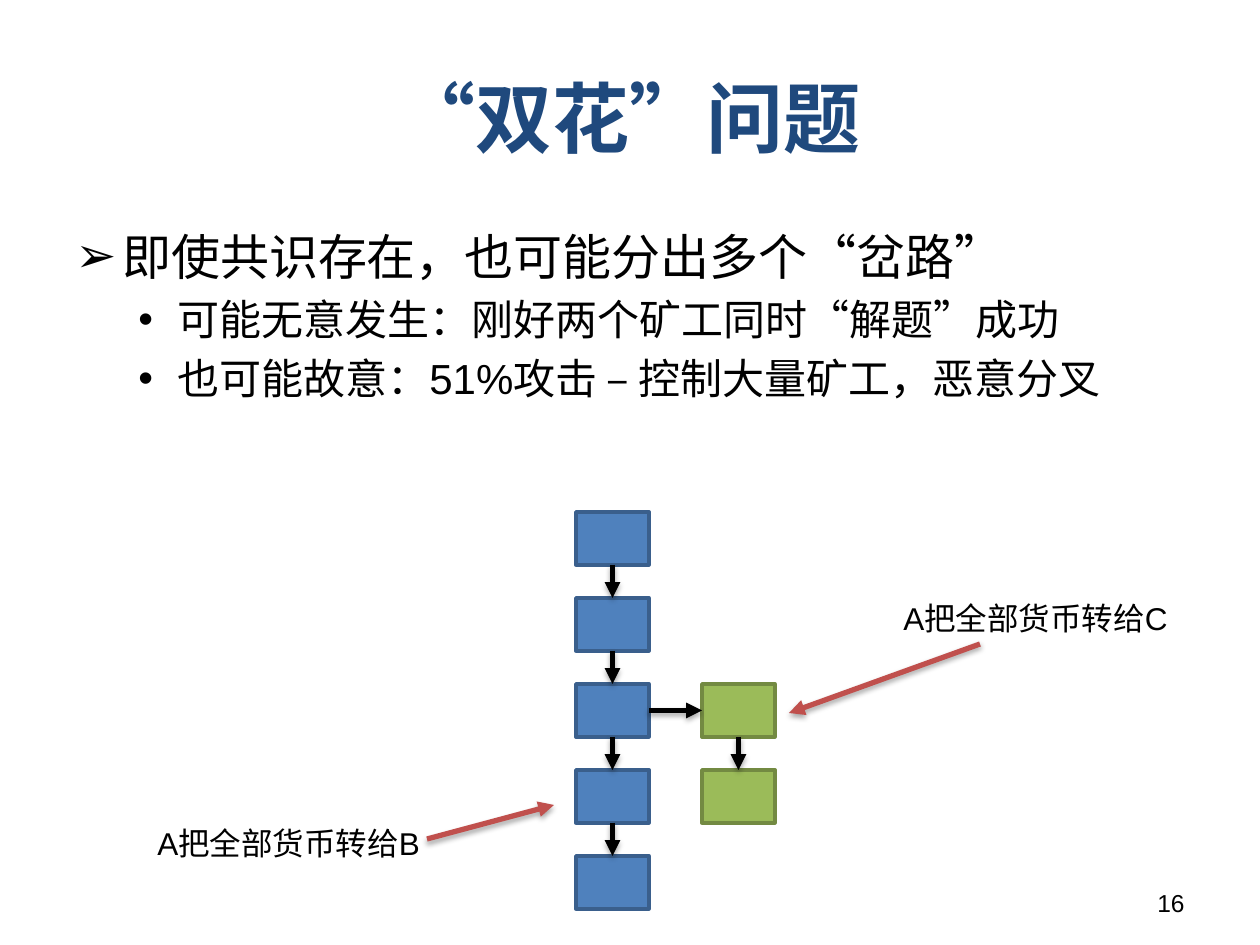
import pptx
import pptx.util
import pptx.dml.color
import pptx.enum.shapes
import pptx.enum.text
import pptx.oxml
import pptx.oxml.ns

EMU_PER_PX = 914400 / 126
COLORS = {
    "title": "1F497D", "text": "000000", "arrow": "000000", "callout": "C0504D",
    "main": "4F81BD", "main_edge": "3A5F8C", "fork": "9BBB59", "fork_edge": "738A42",
}
ALIGN = pptx.enum.text.PP_ALIGN
ANCHOR = pptx.enum.text.MSO_ANCHOR
BLOCK_W, BLOCK_H, ROW_STEP, FORK_STEP = 73, 53, 86, 126


def px(length):
    return pptx.util.Emu(round(length * EMU_PER_PX))


def rgb(name):
    return pptx.dml.color.RGBColor.from_string(COLORS[name])


def xml(tag, body="", **attributes):
    listed = " ".join(f'{key}="{value}"' for key, value in attributes.items())
    return pptx.oxml.parse_xml(
        f'<a:{tag} {pptx.oxml.ns.nsdecls("a")} {listed}>{body}</a:{tag}>')


def write(paragraph, text, size, color="text", bold=False, align=ALIGN.LEFT, before=0):
    paragraph.alignment = align
    paragraph.space_before = pptx.util.Pt(before)
    run = paragraph.add_run()
    run.text = text
    run.font.name = "Arial"
    run.font.size = pptx.util.Pt(size)
    run.font.bold = bold
    run.font.color.rgb = rgb(color)


def add_frame(slide, box):
    frame = slide.shapes.add_textbox(*map(px, box)).text_frame
    frame.word_wrap = True
    return frame


def add_label(slide, box, text, **style):
    write(add_frame(slide, box).paragraphs[0], text, **style)


def add_title(slide, box, text):
    title = slide.shapes.title
    title.left, title.top, title.width, title.height = map(px, box)
    title.text_frame.vertical_anchor = ANCHOR.MIDDLE
    write(title.text_frame.paragraphs[0], text, size=44, color="title",
          bold=True, align=ALIGN.CENTER)


def set_bullet(paragraph, char, margin, hanging):
    properties = paragraph._p.get_or_add_pPr()
    properties.set("marL", str(px(margin)))
    properties.set("indent", str(-px(hanging)))
    properties.append(xml("buFont", typeface="Arial"))
    properties.append(xml("buChar", char=char))


def add_points(slide, box, heading, details):
    frame = add_frame(slide, box)
    write(frame.paragraphs[0], heading, size=28)
    set_bullet(frame.paragraphs[0], "➢", 47, 47)
    for detail in details:
        paragraph = frame.add_paragraph()
        paragraph.level = 1
        write(paragraph, detail, size=24, before=5)
        set_bullet(paragraph, "•", 102, 39)


def add_arrow(slide, start, end, color="arrow"):
    arrow = slide.shapes.add_connector(
        pptx.enum.shapes.MSO_CONNECTOR.STRAIGHT, *map(px, (*start, *end)))
    arrow.line.color.rgb = rgb(color)
    arrow.line.width = pptx.util.Pt(3)
    arrow.line._get_or_add_ln().append(xml("tailEnd", type="triangle"))
    shadow = ('<a:outerShdw blurRad="40000" dist="23000" dir="5400000" rotWithShape="0">'
              '<a:srgbClr val="000000"><a:alpha val="35000"/></a:srgbClr></a:outerShdw>')
    arrow._element.spPr.append(xml("effectLst", shadow))


def add_block(slide, left, top, kind):
    block = slide.shapes.add_shape(
        pptx.enum.shapes.MSO_SHAPE.RECTANGLE, *map(px, (left, top, BLOCK_W, BLOCK_H)))
    block.shadow.inherit = False
    block.fill.solid()
    block.fill.fore_color.rgb = rgb(kind)
    block.line.color.rgb = rgb(f"{kind}_edge")
    block.line.width = pptx.util.Pt(2)


def add_chain(slide, left, top, count, kind):
    """Stack blocks downward, each pointing to the next."""
    tops = [top + ROW_STEP * row for row in range(count)]
    for block_top in tops:
        add_block(slide, left, block_top, kind)
    center = left + BLOCK_W / 2
    for upper, lower in zip(tops, tops[1:]):
        add_arrow(slide, (center, upper + BLOCK_H), (center, lower))


def add_forked_chain(slide, left, top):
    fork_left, fork_top = left + FORK_STEP, top + 2 * ROW_STEP
    add_chain(slide, left, top, 5, "main")
    add_chain(slide, fork_left, fork_top, 2, "fork")
    branch_y = fork_top + BLOCK_H / 2
    add_arrow(slide, (left + BLOCK_W, branch_y), (fork_left, branch_y))


def add_callout(slide, box, text, start, end):
    """Label a block; the arrow's ends are relative to the label box."""
    left, top = box[:2]
    add_arrow(slide, (left + start[0], top + start[1]),
              (left + end[0], top + end[1]), "callout")
    add_label(slide, box, text, size=18)


def main():
    deck = pptx.Presentation()
    deck.slide_width, deck.slide_height = px(1260), px(945)
    slide = deck.slides.add_slide(deck.slide_layouts[5])
    add_title(slide, (63, 38, 1134, 158), "“双花”问题")
    add_points(slide, (63, 220, 1134, 95), "即使共识存在，也可能分出多个“岔路”", [
        "可能无意发生：刚好两个矿工同时“解题”成功",
        "也可能故意：51%攻击 – 控制大量矿工，恶意分叉",
    ])
    add_label(slide, (903, 882, 294, 44), "16", size=14, align=ALIGN.RIGHT)
    add_forked_chain(slide, 576, 512)
    add_callout(slide, (145, 818, 338, 50), "A把全部货币转给B", (282, 21), (409, -13))
    add_callout(slide, (891, 593, 338, 50), "A把全部货币转给C", (89, 51), (-102, 120))
    deck.save("out.pptx")


if __name__ == "__main__":
    main()
